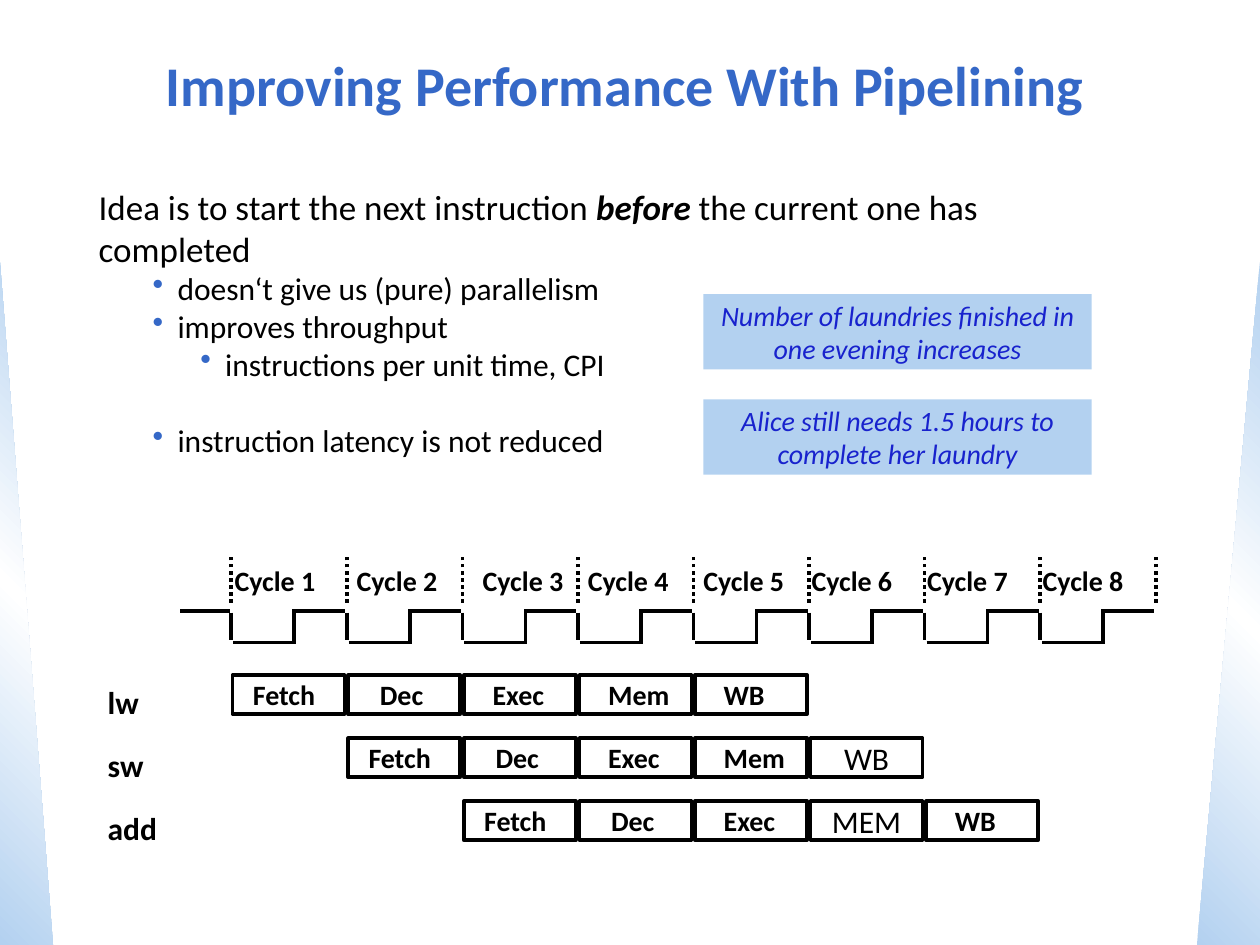
from dataclasses import dataclass

from pptx import Presentation
from pptx.dml.color import RGBColor
from pptx.enum.dml import MSO_LINE
from pptx.enum.shapes import MSO_CONNECTOR, MSO_SHAPE
from pptx.enum.text import MSO_ANCHOR, PP_ALIGN
from pptx.oxml import parse_xml
from pptx.oxml.ns import nsdecls
from pptx.util import Cm, Pt

RECTANGLE = MSO_SHAPE.RECTANGLE
RIGHT_TRIANGLE = MSO_SHAPE.RIGHT_TRIANGLE
STRAIGHT = MSO_CONNECTOR.STRAIGHT
DOTTED = MSO_LINE.ROUND_DOT
LEFT, CENTER = PP_ALIGN.LEFT, PP_ALIGN.CENTER
TOP, MIDDLE = MSO_ANCHOR.TOP, MSO_ANCHOR.MIDDLE


@dataclass(frozen=True)
class Theme:
    font: str = "Calibri"
    heading: str = "3568C7"
    ink: str = "000000"
    panel: str = "B3D1F0"
    highlight: str = "FFFFFF"
    note: str = "1822CD"
    title_size: int = 32
    lead_size: int = 20
    body_size: int = 18
    label_size: int = 16
    stroke: int = 2


class SlideBuilder:
    def __init__(self, slide, theme):
        self.slide = slide
        self.theme = theme

    def run(self, paragraph, text, size, color=None, bold=False, italic=False):
        run = paragraph.add_run()
        run.text = text
        font = run.font
        font.name, font.size = self.theme.font, Pt(size)
        font.bold, font.italic = bold, italic
        font.color.rgb = RGBColor.from_string(color or self.theme.ink)

    def frame(self, shape, anchor=TOP, insets=(0.25, 0.13, 0.25, 0.13)):
        frame = shape.text_frame
        frame.word_wrap = True
        frame.vertical_anchor = anchor
        (frame.margin_left, frame.margin_top,
         frame.margin_right, frame.margin_bottom) = map(Cm, insets)
        return frame

    def title(self, text, *box):
        title = self.slide.shapes.title
        title.left, title.top, title.width, title.height = map(Cm, box)
        paragraph = self.frame(title, MIDDLE).paragraphs[0]
        paragraph.alignment = CENTER
        self.run(paragraph, text, self.theme.title_size, self.theme.heading, bold=True)

    def text_box(self, *box):
        return self.frame(self.slide.shapes.add_textbox(*map(Cm, box)))

    def label(self, text, size, *box):
        self.run(self.text_box(*box).paragraphs[0], text, size, bold=True)

    def bullet(self, paragraph, left):
        """Set a hanging indent with a coloured bullet."""
        properties = paragraph._p.get_or_add_pPr()
        properties.set("marL", str(Cm(left)))
        properties.set("indent", str(-Cm(0.5)))
        properties.append(parse_xml(
            f'<a:buClr {nsdecls("a")}><a:srgbClr val="{self.theme.heading}"/></a:buClr>'))
        properties.append(parse_xml(f'<a:buChar {nsdecls("a")} char="•"/>'))

    def shape(self, kind, *box):
        shape = self.slide.shapes.add_shape(kind, *map(Cm, box))
        shape.shadow.inherit = False
        return shape

    def side_wedge(self, left, width, angle, flipped=False):
        wedge = self.shape(RIGHT_TRIANGLE, left, 5.28, width, 13.77)
        wedge.line.fill.background()
        stops = "".join(
            f'<a:gs pos="{position}"><a:srgbClr val="{color}"/></a:gs>'
            for position, color in ((0, self.theme.panel), (50000, self.theme.highlight),
                                    (100000, self.theme.panel)))
        properties = wedge._element.spPr
        properties.insert(2, parse_xml(
            f'<a:gradFill {nsdecls("a")} rotWithShape="1"><a:gsLst>{stops}</a:gsLst>'
            f'<a:lin ang="{angle * 60000}" scaled="0"/></a:gradFill>'))
        if flipped:
            properties.xfrm.set("flipH", "1")

    def note(self, text, *box):
        panel = self.shape(RECTANGLE, *box)
        panel.fill.solid()
        panel.fill.fore_color.rgb = RGBColor.from_string(self.theme.panel)
        panel.line.fill.background()
        paragraph = self.frame(panel, TOP, (0.18, 0.08, 0.18, 0.08)).paragraphs[0]
        paragraph.alignment = CENTER
        self.run(paragraph, text, self.theme.label_size, self.theme.note, italic=True)

    def stage(self, text, inset, *box):
        """Draw a pipeline stage; without an inset its name is plain and centred."""
        stage = self.shape(RECTANGLE, *box)
        stage.fill.background()
        stage.line.color.rgb = RGBColor.from_string(self.theme.ink)
        stage.line.width = Pt(self.theme.stroke)
        named = inset is not None
        paragraph = self.frame(stage, MIDDLE, (inset or 0, 0, 0, 0)).paragraphs[0]
        paragraph.alignment = LEFT if named else CENTER
        size = self.theme.label_size if named else self.theme.body_size
        self.run(paragraph, text, size, bold=named)

    def line(self, *ends, dash=None):
        line = self.slide.shapes.add_connector(STRAIGHT, *map(Cm, ends))
        line.line.color.rgb = RGBColor.from_string(self.theme.ink)
        line.line.width = Pt(self.theme.stroke)
        if dash:
            line.line.dash_style = dash
        line._element.spPr.append(parse_xml(f'<a:effectLst {nsdecls("a")}/>'))


def main():
    presentation = Presentation()
    presentation.slide_width, presentation.slide_height = Cm(25.4), Cm(19.05)
    theme = Theme()
    slide = presentation.slides.add_slide(presentation.slide_layouts[5])
    builder = SlideBuilder(slide, theme)

    # Side decoration and title
    builder.side_wedge(0, 1.07, 315)
    builder.side_wedge(24.13, 1.27, 45, flipped=True)
    builder.title("Improving Performance With Pipelining", 0.64, 0.64, 23.92, 2.11)

    # Idea and its consequences
    idea = builder.text_box(1.27, 3.6, 22.86, 6.55)
    lead_lines = (
        (("Idea is to start the next instruction ", False), ("before", True),
         (" the current one has", False)),
        (("completed", False),),
    )
    for number, pieces in enumerate(lead_lines):
        paragraph = idea.add_paragraph() if number else idea.paragraphs[0]
        properties = paragraph._p.get_or_add_pPr()
        properties.set("marL", str(Cm(0.97)))
        properties.set("indent", str(-Cm(0.5)))
        for text, stressed in pieces:
            builder.run(paragraph, text, theme.lead_size, bold=stressed, italic=stressed)

    consequences = (
        ("doesn‘t give us (pure) parallelism", 1, 0),
        ("improves throughput", 1, 0),
        ("instructions per unit time, CPI", 2, 0),
        ("instruction latency is not reduced", 1, 22),
    )
    for text, level, space_before in consequences:
        paragraph = idea.add_paragraph()
        paragraph.level = level
        paragraph.space_before = Pt(space_before)
        builder.bullet(paragraph, {1: 2.06, 2: 3.02}[level])
        builder.run(paragraph, text, theme.body_size)

    # Laundry analogy
    builder.note("Number of laundries finished in one evening increases",
                 14.18, 5.93, 7.83, 1.52)
    builder.note("Alice still needs 1.5 hours to complete her laundry",
                 14.18, 8.05, 7.83, 1.52)

    # Clock signal with cycle borders
    first_edge, cycle_width = 4.66, 2.33
    high, low = 12.32, 12.95
    label_shifts = (-0.18, -0.05, 0.16, -0.05, -0.05, -0.2, -0.2, -0.2)
    edges = [first_edge + cycle_width * number for number in range(len(label_shifts) + 1)]
    for edge in edges:
        builder.line(edge, 12.15, edge, 11.23, dash=DOTTED)
        builder.line(edge - 1.03, high, edge - 0.03, high)
    for number, (edge, shift) in enumerate(zip(edges, label_shifts), 1):
        builder.line(edge, high + 0.03, edge, low - 0.05)
        builder.line(edge + 0.04, low, edge + 1.24, low)
        builder.line(edge + 1.27, low + 0.03, edge + 1.27, high - 0.05)
        builder.label(f"Cycle {number}", theme.label_size,
                      edge + shift, 11.23, 2.3, 0.94)

    # Instructions, each starting one cycle later
    insets = {"Fetch": 0.41, "Dec": 0.64, "Exec": 0.58, "Mem": 0.58, "WB": 0.58}
    instructions = (
        ("lw", ("Fetch", "Dec", "Exec", "Mem", "WB"), None),
        ("sw", ("Fetch", "Dec", "Exec", "Mem", "WB"), "WB"),
        ("add", ("Fetch", "Dec", "Exec", "MEM", "WB"), "MEM"),
    )
    for row, (instruction, stages, plain_stage) in enumerate(instructions):
        top = 13.61 + 1.27 * row
        builder.label(instruction, theme.body_size, 1.92, top + 0.02, 1.6, 1.02)
        for edge, stage in zip(edges[row:], stages):
            inset = None if stage == plain_stage else insets[stage]
            builder.stage(stage, inset, edge + 0.03, top, 2.26, 0.79)

    presentation.save("out.pptx")


if __name__ == "__main__":
    main()
